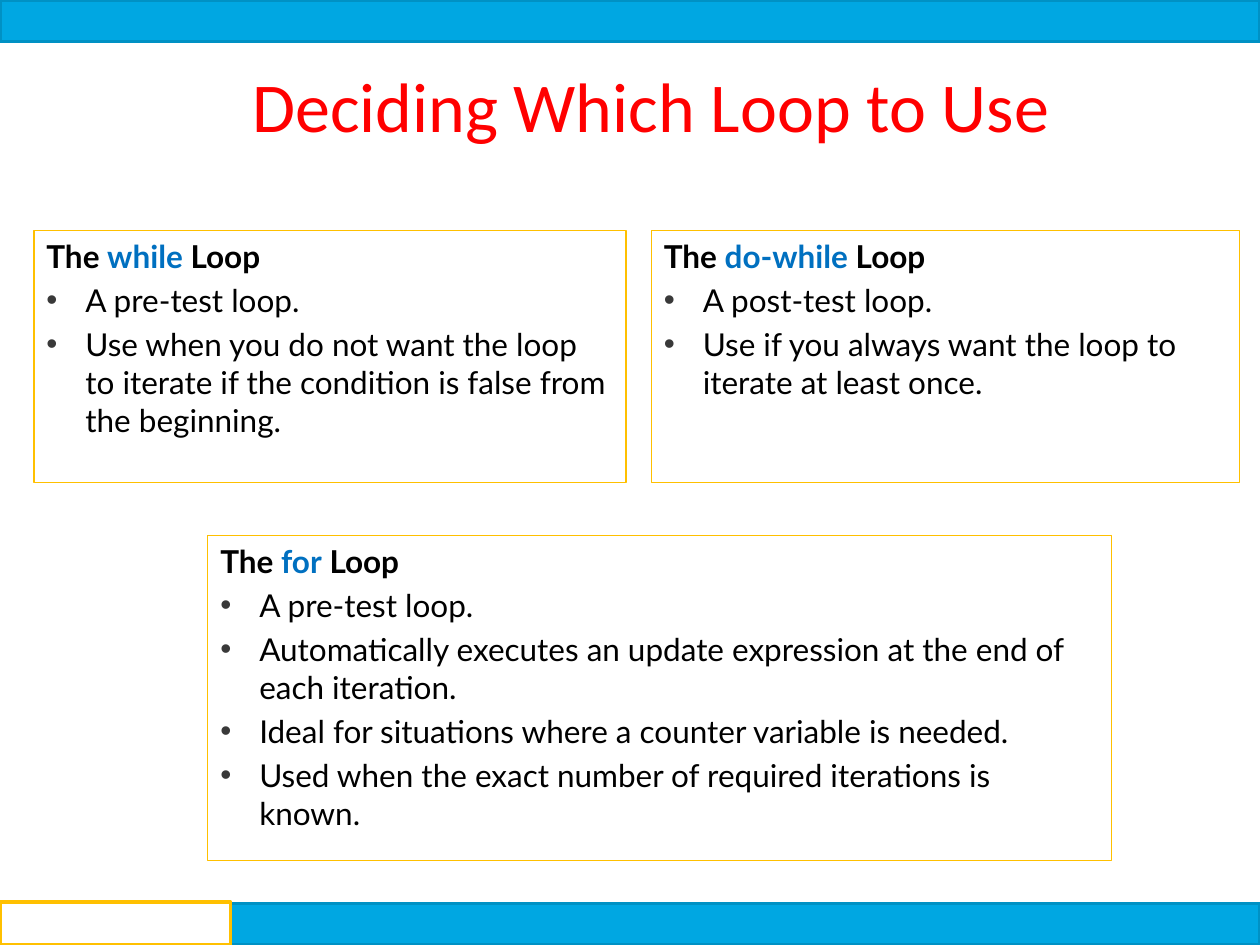
from lxml import etree
from pptx import Presentation
from pptx.dml.color import RGBColor
from pptx.enum.shapes import MSO_SHAPE
from pptx.enum.text import MSO_ANCHOR, PP_ALIGN
from pptx.oxml.ns import qn
from pptx.util import Inches, Pt

COLORS = {
    "blue": "00A7E2", "blue edge": "0091C4", "gold": "FFC000", "white": "FFFFFF",
    "title": "FF0000", "text": "000000", "keyword": "0070C0", "bullet": "393939",
}


def add_rectangle(page, place, fill, line, width):
    box = page.shapes.add_shape(MSO_SHAPE.RECTANGLE, *[Inches(n) for n in place])
    box.shadow.inherit = False
    if fill:
        box.fill.solid()
        box.fill.fore_color.rgb = RGBColor.from_string(COLORS[fill])
    else:
        box.fill.background()
    box.line.color.rgb = RGBColor.from_string(COLORS[line])
    box.line.width = Pt(width)
    return box


def add_span(para, text, color, **formats):
    span = para.add_run()
    span.text = text
    for name, value in formats.items():
        setattr(span.font, name, value)
    span.font.color.rgb = RGBColor.from_string(COLORS[color])


deck = Presentation()
deck.slide_width, deck.slide_height = Inches(10), Inches(7.5)
page = deck.slides.add_slide(deck.slide_layouts[6])

# Bands at the top and bottom, with the footer cell on the left
for place, fill, line, width in [
    ((0, 0, 10, 0.33), "blue", "blue edge", 2),
    ((0, 7.17, 10, 0.33), "blue", "blue edge", 2),
    ((0, 7.16, 1.83, 0.34), "white", "gold", 2.25),
]:
    add_rectangle(page, place, fill, line, width)

# Title
title = page.shapes.add_textbox(Inches(1.5), Inches(0.45), Inches(7.33), Inches(0.77))
title.text_frame.word_wrap = True
para = title.text_frame.paragraphs[0]
para.alignment = PP_ALIGN.CENTER
add_span(para, "Deciding Which Loop to Use", "title", name="Calibri", size=Pt(40))

# One framed box for each kind of loop
loops = [
    ("while", (0.27, 1.83, 4.7, 2), [
        "A pre-test loop.",
        "Use when you do not want the loop to iterate if the condition "
        "is false from the beginning.",
    ]),
    ("do-while", (5.17, 1.83, 4.67, 2), [
        "A post-test loop.",
        "Use if you always want the loop to iterate at least once.",
    ]),
    ("for", (1.65, 4.25, 7.17, 2.58), [
        "A pre-test loop.",
        "Automatically executes an update expression at the end of each iteration.",
        "Ideal for situations where a counter variable is needed.",
        "Used when the exact number of required iterations is known.",
    ]),
]
body = {"name": "Lato", "size": Pt(18)}
for keyword, place, points in loops:
    frame = add_rectangle(page, place, None, "gold", 0.75).text_frame
    frame.word_wrap = True
    frame.vertical_anchor = MSO_ANCHOR.TOP

    # Heading with the keyword in colour
    para = frame.paragraphs[0]
    para.alignment = PP_ALIGN.LEFT
    for text, color in [("The ", "text"), (keyword, "keyword"), (" Loop", "text")]:
        add_span(para, text, color, bold=True, **body)

    # Bullet points
    for point in points:
        para = frame.add_paragraph()
        para.alignment = PP_ALIGN.LEFT
        para.space_before = Pt(3.6)
        properties = para._p.get_or_add_pPr()
        properties.set("marL", str(Inches(0.31)))
        properties.set("indent", str(-Inches(0.31)))
        bullet_color = etree.SubElement(properties, qn("a:buClr"))
        etree.SubElement(bullet_color, qn("a:srgbClr"), val=COLORS["bullet"])
        etree.SubElement(properties, qn("a:buFont"), typeface="Arial")
        etree.SubElement(properties, qn("a:buChar"), char="•")
        add_span(para, point, "text", bold=False, **body)

deck.save("out.pptx")
